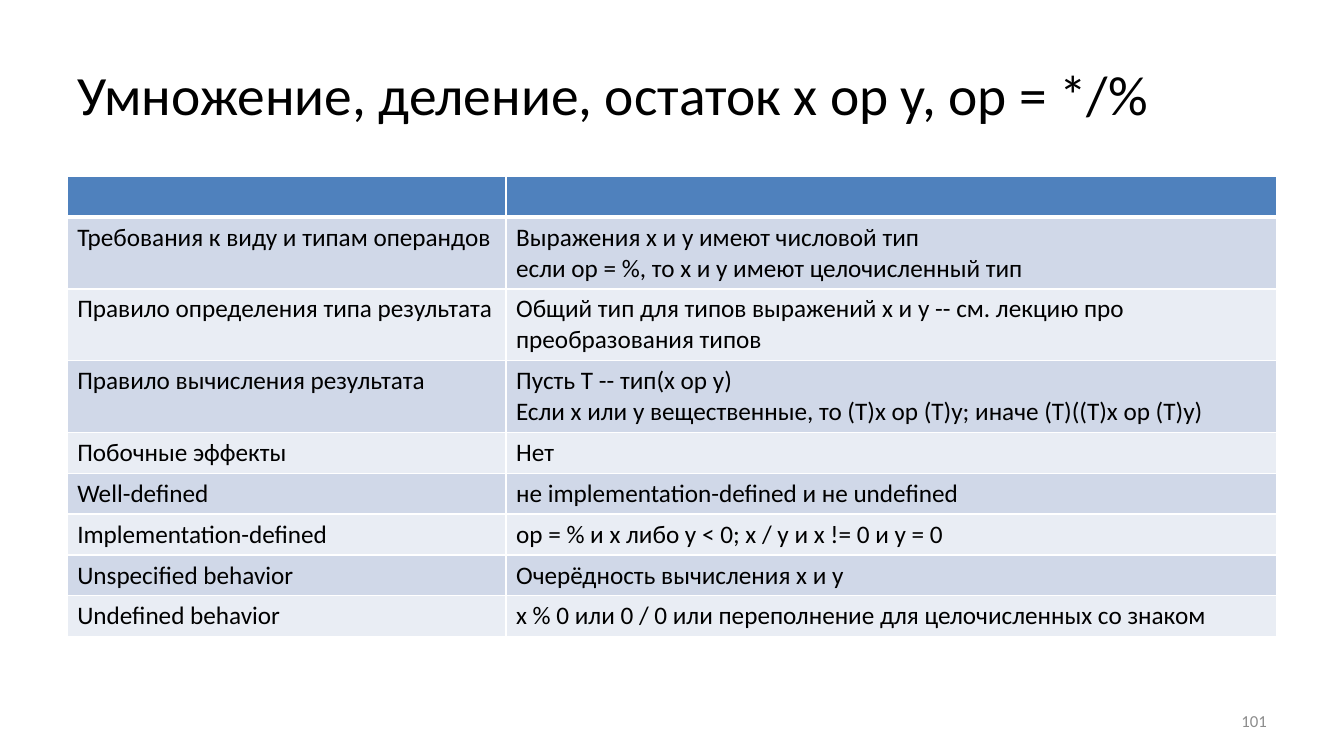
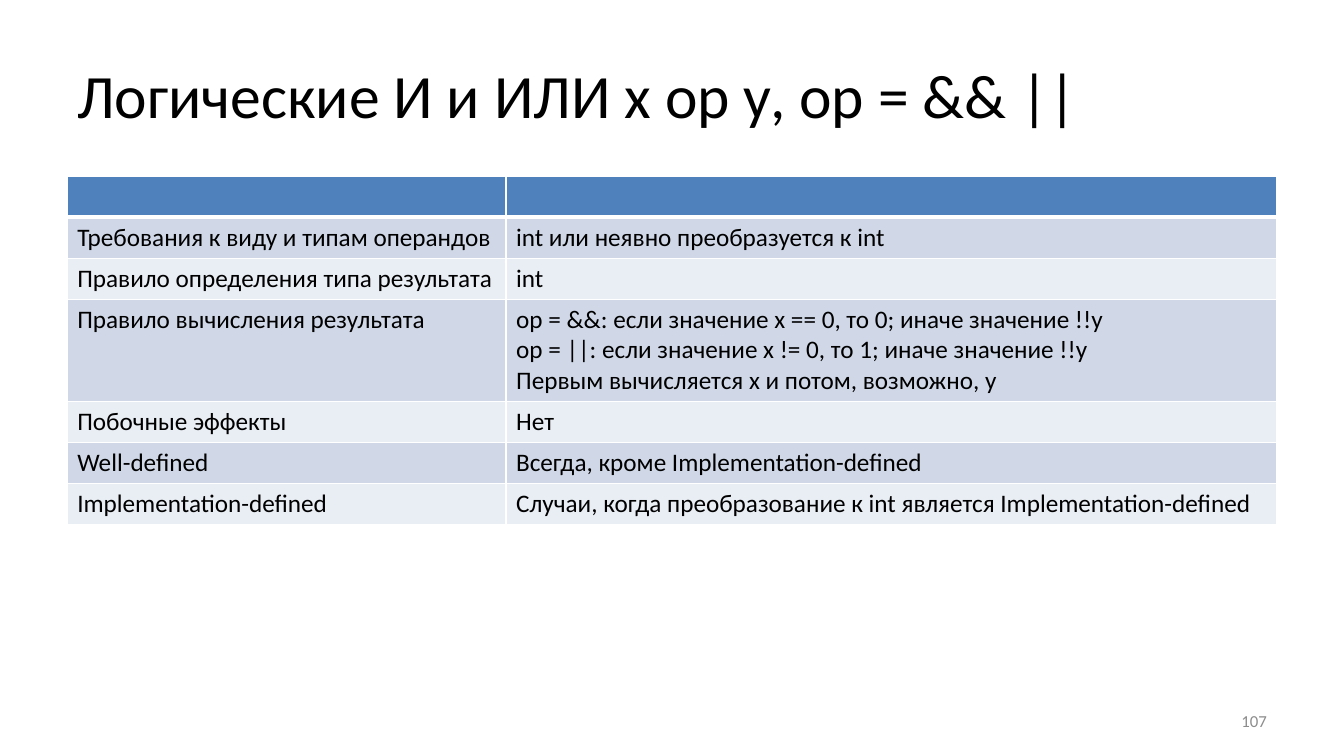
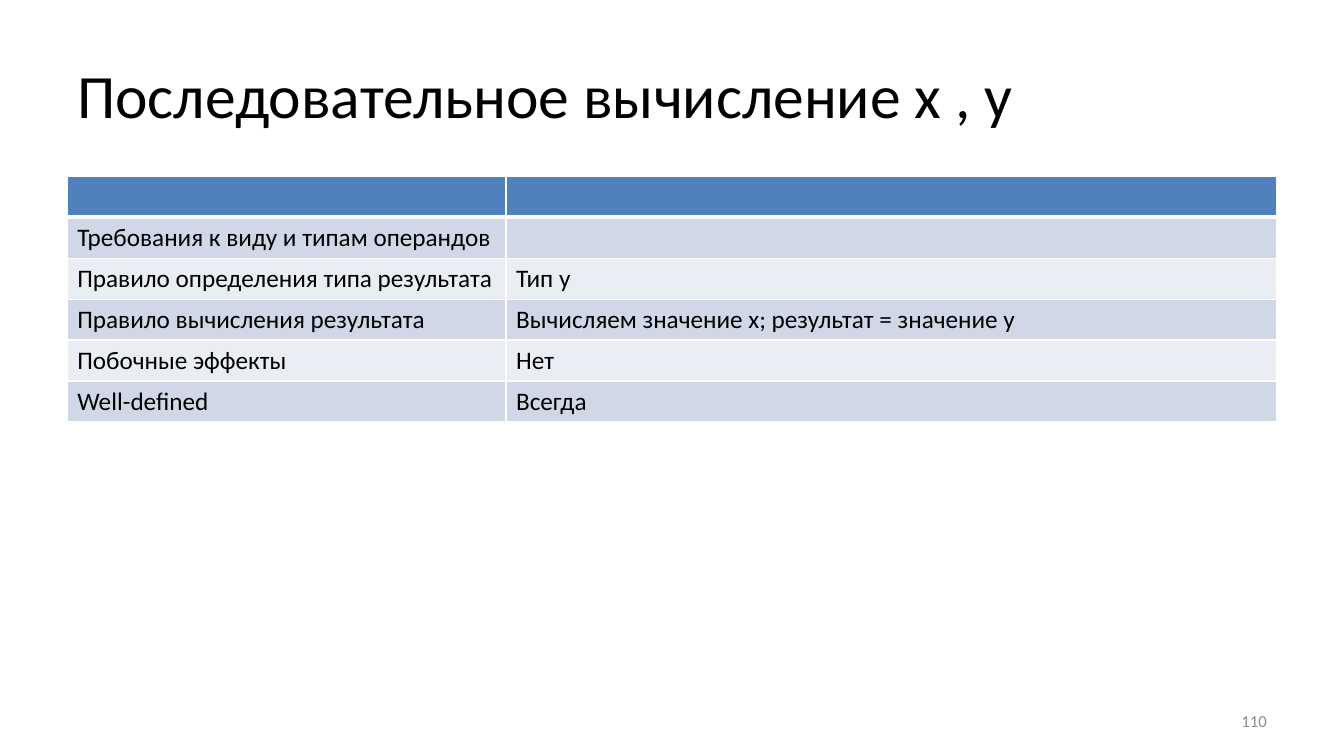
from lxml.etree import SubElement
from pptx import Presentation
from pptx.dml.color import RGBColor
from pptx.enum.text import MSO_ANCHOR, MSO_AUTO_SIZE, PP_ALIGN
from pptx.oxml.ns import qn
from pptx.util import Emu, Pt

# Shared geometry (left, top, width, height in px) and style
EMU_PER_PX = 9525
SLIDE_SIZE = (1280, 720)
TITLE_BOX = (64, 29, 1152, 120)
TABLE_BOX = (64, 168, 1152)
NUMBER_BOX = (917, 667, 299, 38)
LABEL_WIDTH = 418
ROW_HEIGHT = 39

FONT = "Calibri"
BLACK, WHITE, GRAY = "000000", "FFFFFF", "8C8C8C"
HEADER_FILL = "4F81BD"
BAND_FILLS = ("D0D8E8", "E9EDF4")
BORDER, HEADER_BORDER = 1, 3

# Row labels, in the order every table uses them
LABELS = (
    "Требования к виду и типам операндов",
    "Правило определения типа результата",
    "Правило вычисления результата",
    "Побочные эффекты",
    "Well-defined",
    "Implementation-defined",
    "Unspecified behavior",
    "Undefined behavior",
)

# Slide number, title, title size, answers to the labels
OPERATIONS = (
    (101, "Умножение, деление, остаток x op y, op = */%", 39.6, (
        "Выражения х и у имеют числовой тип\n"
        "если op = %, то х и у имеют целочисленный тип",
        "Общий тип для типов выражений x и y -- см. лекцию про преобразования типов",
        "Пусть Т -- тип(x op y)\n"
        "Если х или у вещественные, то (Т)х ор (Т)у; иначе (Т)((Т)х ор (Т)у)",
        "Нет",
        "не implementation-defined и не undefined",
        "op = % и х либо у < 0; x / y и х != 0 и у = 0",
        "Очерёдность вычисления х и у",
        "x % 0 или 0 / 0 или переполнение для целочисленных со знаком",
    )),
    (107, "Логические И и ИЛИ х ор у, ор = && ||", 44, (
        "int или неявно преобразуется к int",
        "int",
        "ор = &&: если значение х == 0, то 0; иначе значение !!у\n"
        "ор = ||: если значение х != 0, то 1; иначе значение !!y\n"
        "Первым вычисляется х и потом, возможно, у",
        "Нет",
        "Всегда, кроме Implementation-defined",
        "Случаи, когда преобразование к int является Implementation-defined",
    )),
    (110, "Последовательное вычисление x , y", 44, (
        "",
        "Тип у",
        "Вычисляем значение х; результат = значение у",
        "Нет",
        "Всегда",
    )),
)


def px(length):
    return Emu(length * EMU_PER_PX)


def color(hex_value):
    return RGBColor.from_string(hex_value)


def write(frame, text, size, hex_value, align=PP_ALIGN.LEFT):
    frame.text = text
    for paragraph in frame.paragraphs:
        paragraph.alignment = align
        for run in paragraph.runs:
            run.font.name = FONT
            run.font.size = Pt(size)
            run.font.bold = False
            run.font.color.rgb = color(hex_value)


def add_title(slide, box, text, size):
    title = slide.shapes.title
    title.left, title.top, title.width, title.height = map(px, box)
    frame = title.text_frame
    frame.word_wrap = True
    frame.auto_size = MSO_AUTO_SIZE.NONE
    frame.vertical_anchor = MSO_ANCHOR.MIDDLE
    write(frame, text, size, BLACK)


def add_number(slide, box, number):
    frame = slide.shapes.add_textbox(*map(px, box)).text_frame
    frame.word_wrap = True
    frame.vertical_anchor = MSO_ANCHOR.MIDDLE
    write(frame, str(number), 12, GRAY, PP_ALIGN.RIGHT)


def style_cell(cell, fill, top, bottom):
    # Borders come before the fill in the cell properties
    properties = cell._tc.get_or_add_tcPr()
    for side, width in (("L", BORDER), ("R", BORDER), ("T", top), ("B", bottom)):
        line = SubElement(properties, qn(f"a:ln{side}"), w=str(Pt(width)))
        SubElement(SubElement(line, qn("a:solidFill")), qn("a:srgbClr"), val=WHITE)
    cell.fill.solid()
    cell.fill.fore_color.rgb = color(fill)


def add_rules_table(slide, box, answers):
    left, top, width = box
    rows = [("", ""), *zip(LABELS, answers)]
    table = slide.shapes.add_table(
        len(rows), 2, px(left), px(top), px(width), px(ROW_HEIGHT * len(rows))).table
    table.columns[0].width = px(LABEL_WIDTH)
    table.columns[1].width = px(width - LABEL_WIDTH)
    for index, texts in enumerate(rows):
        table.rows[index].height = px(ROW_HEIGHT)
        fill = BAND_FILLS[(index - 1) % 2] if index else HEADER_FILL
        above = HEADER_BORDER if index == 1 else BORDER
        below = HEADER_BORDER if index == 0 else BORDER
        for cell, text in zip(table.rows[index].cells, texts):
            style_cell(cell, fill, above, below)
            if text:
                write(cell.text_frame, text, 18, BLACK)


def add_operation_slide(deck, number, title, title_size, answers):
    slide = deck.slides.add_slide(deck.slide_layouts[5])
    add_title(slide, TITLE_BOX, title, title_size)
    add_rules_table(slide, TABLE_BOX, answers)
    add_number(slide, NUMBER_BOX, number)


def main():
    deck = Presentation()
    deck.slide_width, deck.slide_height = map(px, SLIDE_SIZE)
    for operation in OPERATIONS:
        add_operation_slide(deck, *operation)
    deck.save("out.pptx")


if __name__ == "__main__":
    main()
